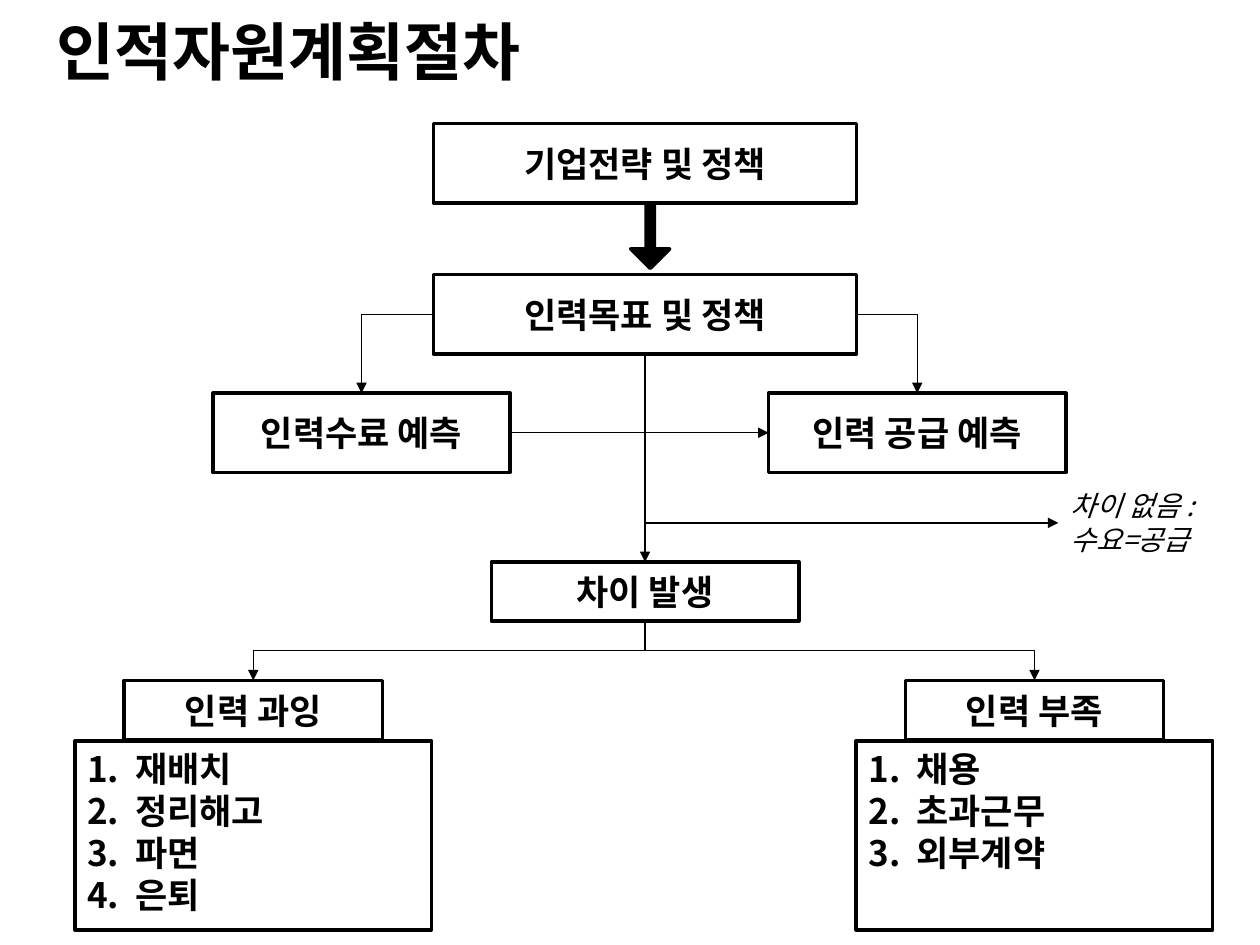
from lxml import etree
from pptx import Presentation
from pptx.dml.color import RGBColor
from pptx.enum.shapes import MSO_CONNECTOR, MSO_SHAPE
from pptx.enum.text import MSO_ANCHOR, PP_ALIGN
from pptx.oxml.ns import qn
from pptx.util import Inches, Pt

BLACK = RGBColor(0, 0, 0)
FONT = "Noto Sans CJK KR"
STRAIGHT, ELBOW = MSO_CONNECTOR.STRAIGHT, MSO_CONNECTOR.ELBOW
TOP, LEFT, BOTTOM, RIGHT = range(4)
INDENT = Inches(0.38)

# name: (text, centre x, top, width, height)
STEPS = {
    "strategy": ("기업전략 및 정책", 5.12, 0.98, 3.36, 0.63),
    "goal": ("인력목표 및 정책", 5.12, 2.18, 3.36, 0.63),
    "demand": ("인력수료 예측", 2.87, 3.12, 2.36, 0.63),
    "supply": ("인력 공급 예측", 7.28, 3.12, 2.36, 0.63),
    "gap": ("차이 발생", 5.12, 4.46, 2.44, 0.47),
    "surplus": ("인력 과잉", 2.01, 5.4, 2.05, 0.47),
    "shortage": ("인력 부족", 8.21, 5.4, 2.05, 0.47),
}
# (centre x, numbered measures)
MEASURES = [
    (2.01, ["재배치", "정리해고", "파면", "은퇴"]),
    (8.21, ["채용", "초과근무", "외부계약"]),
]
# (from, side, to, side, connector type)
LINKS = [
    ("goal", LEFT, "demand", TOP, ELBOW),
    ("goal", RIGHT, "supply", TOP, ELBOW),
    ("gap", BOTTOM, "shortage", TOP, ELBOW),
    ("gap", BOTTOM, "surplus", TOP, ELBOW),
    ("demand", RIGHT, "supply", LEFT, STRAIGHT),
    ("goal", BOTTOM, "gap", TOP, STRAIGHT),
]

presentation = Presentation()
presentation.slide_width, presentation.slide_height = Inches(10), Inches(7.5)
slide = presentation.slides.add_slide(presentation.slide_layouts[6])


def write(shape, lines, size, bold=False, italic=False, align=PP_ALIGN.LEFT, numbered=False):
    shape.text_frame.text = "\n".join(lines)
    for paragraph in shape.text_frame.paragraphs:
        paragraph.alignment = align
        if numbered:
            properties = paragraph._p.get_or_add_pPr()
            properties.set("marL", str(INDENT))
            properties.set("indent", str(-INDENT))
            etree.SubElement(properties, qn("a:buFont"), typeface="+mj-lt")
            etree.SubElement(properties, qn("a:buAutoNum"), type="arabicPeriod")
        for run in paragraph.runs:
            font = run.font
            font.name, font.size, font.bold, font.italic = FONT, Pt(size), bold, italic
            font.color.rgb = BLACK
            etree.SubElement(run._r.get_or_add_rPr(), qn("a:ea"), typeface=FONT)


def add_outlined(kind, center, top, width, height):
    shape = slide.shapes.add_shape(
        kind, Inches(center - width / 2), Inches(top), Inches(width), Inches(height))
    shape.shadow.inherit = False
    shape.fill.background()
    shape.line.color.rgb = BLACK
    shape.line.width = Pt(2)
    return shape


def add_label(lines, left, top, width, height, size, **style):
    label = slide.shapes.add_textbox(*map(Inches, (left, top, width, height)))
    label.text_frame.word_wrap = True
    write(label, lines, size, **style)


def add_arrow(kind, start=(0, 0), end=(0, 0)):
    arrow = slide.shapes.add_connector(kind, *map(Inches, start + end))
    arrow.line.color.rgb = BLACK
    arrow.line.width = Pt(0.75)
    etree.SubElement(arrow.line._get_or_add_ln(), qn("a:tailEnd"), type="triangle")
    etree.SubElement(arrow._element.spPr, qn("a:effectLst"))
    return arrow


def turn_vertical(arrow):
    """Make a three-part elbow leave downwards instead of sideways."""
    goes_left = arrow.end_x < arrow.begin_x
    left, top, width, height = arrow.left, arrow.top, arrow.width, arrow.height
    arrow.left, arrow.top = left + (width - height) // 2, top + (height - width) // 2
    arrow.width, arrow.height = height, width
    transform = arrow._element.spPr.find(qn("a:xfrm"))
    transform.set("rot", str((90 if goes_left else 270) * 60000))
    transform.set("flipH", "0" if goes_left else "1")


add_label(["인적자원계획절차"], 0.35, 0.05, 5.12, 0.71, 36, bold=True)

boxes = {}
for name, (text, *place) in STEPS.items():
    boxes[name] = add_outlined(MSO_SHAPE.RECTANGLE, *place)
    boxes[name].text_frame.word_wrap = True
    boxes[name].text_frame.vertical_anchor = MSO_ANCHOR.MIDDLE
    write(boxes[name], [text], 20, bold=True, align=PP_ALIGN.CENTER)

for center, measures in MEASURES:
    panel = add_outlined(MSO_SHAPE.RECTANGLE, center, 5.88, 2.83, 1.5)
    panel.text_frame.word_wrap = True
    panel.text_frame.vertical_anchor = MSO_ANCHOR.TOP
    write(panel, measures, 20, bold=True, numbered=True)

block_arrow = add_outlined(MSO_SHAPE.DOWN_ARROW, 5.16, 1.62, 0.31, 0.51)
block_arrow.adjustments[0] = 0.21
block_arrow.fill.solid()
block_arrow.fill.fore_color.rgb = BLACK

for source, source_side, target, target_side, kind in LINKS:
    link = add_arrow(kind)
    link.begin_connect(boxes[source], source_side)
    link.end_connect(boxes[target], target_side)
    if kind == ELBOW and source_side == BOTTOM:
        turn_vertical(link)
    elif kind == ELBOW:
        link._element.spPr.find(qn("a:prstGeom")).set("prst", "bentConnector2")

add_arrow(STRAIGHT, (5.12, 4.15), (8.4, 4.15))
add_label(["차이 없음 :", "수요=공급"], 8.4, 3.83, 1.48, 0.64, 16, italic=True)

presentation.save("out.pptx")
